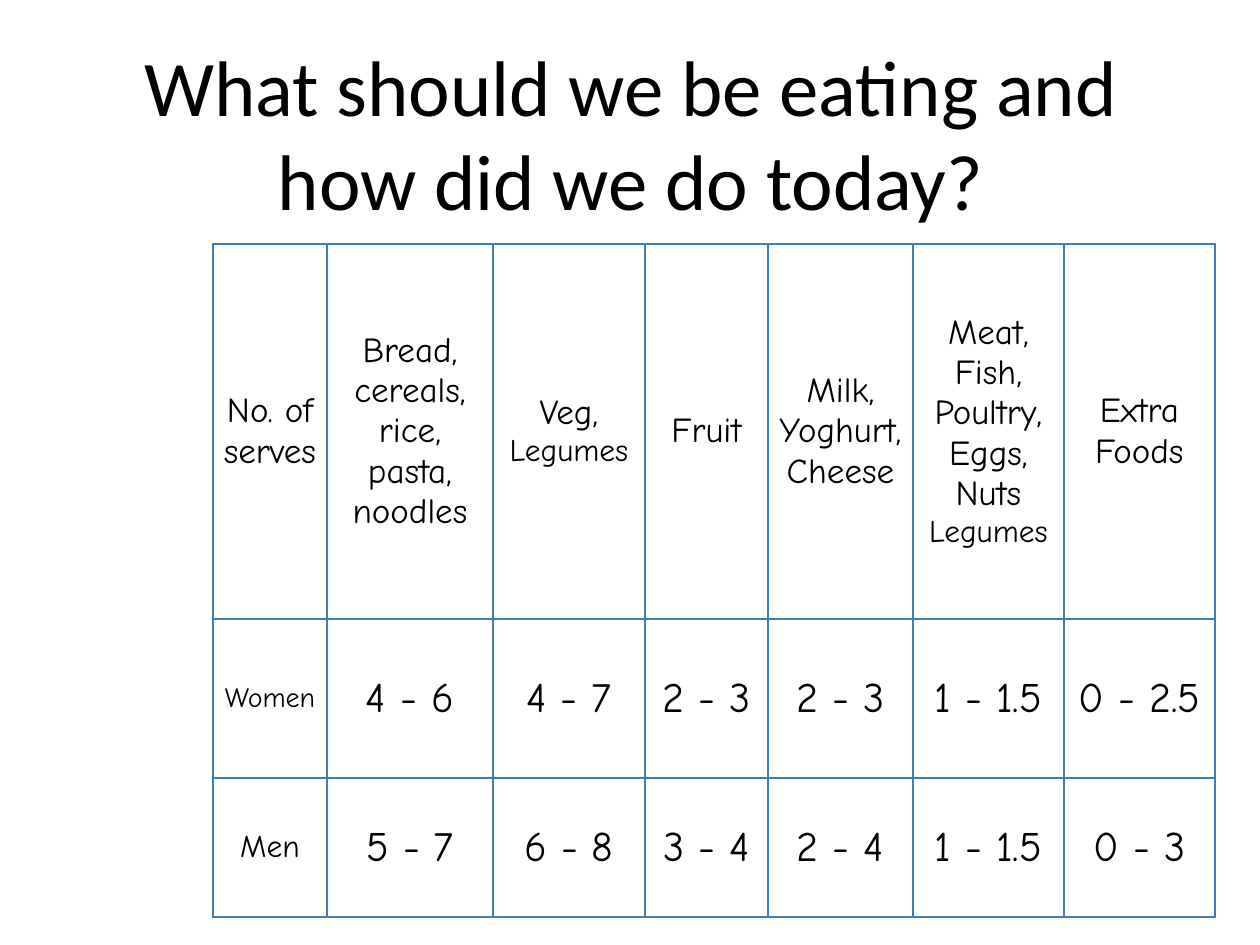
from dataclasses import dataclass

from lxml.etree import SubElement
from pptx import Presentation
from pptx.dml.color import RGBColor
from pptx.enum.text import MSO_ANCHOR, MSO_AUTO_SIZE, PP_ALIGN
from pptx.oxml.ns import qn
from pptx.util import Emu, Pt

PX_PER_INCH = 126


@dataclass(frozen=True)
class Theme:
    ink: str = "000000"
    border: str = "417DB2"
    border_pt: float = 0.96
    title_font: str = "Calibri"
    table_font: str = "Comic Neue"
    title: int = 45
    serves: int = 24
    heading: int = 20
    small: int = 18
    tiny: int = 16


THEME = Theme()


@dataclass(frozen=True)
class Run:
    text: str
    size: int = THEME.heading


@dataclass(frozen=True)
class Cell:
    """Cell content: one tuple of runs per paragraph."""
    paragraphs: tuple[tuple[Run, ...], ...]


@dataclass(frozen=True)
class Box:
    left: int
    top: int
    width: int
    height: int


def px(n: int) -> Emu:
    return Emu(round(n * 914400 / PX_PER_INCH))


def cell(*runs: Run) -> Cell:
    return Cell((runs,))


def serves_row(label: Run, *ranges: str) -> list[Cell]:
    return [cell(label)] + [cell(Run(text, THEME.serves)) for text in ranges]


def add_run(p, run: Run, font: str) -> None:
    r = p.add_run()
    r.text = run.text
    r.font.name = font
    r.font.size = Pt(run.size)
    r.font.color.rgb = RGBColor.from_string(THEME.ink)


def set_borders(c) -> None:
    tc_pr = c._tc.get_or_add_tcPr()
    for i, side in enumerate(("lnL", "lnR", "lnT", "lnB")):
        ln = SubElement(tc_pr, qn(f"a:{side}"), w=str(Pt(THEME.border_pt)))
        fill = SubElement(ln, qn("a:solidFill"))
        SubElement(fill, qn("a:srgbClr"), val=THEME.border)
        tc_pr.remove(ln)
        tc_pr.insert(i, ln)  # borders come before the fill


def draw_cell(c, content: Cell) -> None:
    c.fill.background()
    set_borders(c)
    c.vertical_anchor = MSO_ANCHOR.MIDDLE
    c.margin_left = c.margin_right = px(5)
    c.margin_top = c.margin_bottom = px(6)
    tf = c.text_frame
    for i, runs in enumerate(content.paragraphs):
        p = tf.add_paragraph() if i else tf.paragraphs[0]
        p.alignment = PP_ALIGN.CENTER
        for run in runs:
            add_run(p, run, THEME.table_font)


def draw_table(s, box: Box, widths: list[int], heights: list[int],
               rows: list[list[Cell]]) -> None:
    frame = s.shapes.add_table(len(rows), len(widths), px(box.left), px(box.top),
                               px(box.width), px(box.height))
    table = frame.table
    table.first_row = table.horz_banding = False
    for column, width in zip(table.columns, widths):
        column.width = px(width)
    for row, height, contents in zip(table.rows, heights, rows):
        row.height = px(height)
        for c, content in zip(row.cells, contents):
            draw_cell(c, content)


def draw_title(s, box: Box, text: str) -> None:
    sp = s.shapes.title
    sp.left, sp.top = px(box.left), px(box.top)
    sp.width, sp.height = px(box.width), px(box.height)
    tf = sp.text_frame
    tf.word_wrap = True
    tf.auto_size = MSO_AUTO_SIZE.NONE
    tf.vertical_anchor = MSO_ANCHOR.MIDDLE
    p = tf.paragraphs[0]
    p.alignment = PP_ALIGN.CENTER
    add_run(p, Run(text, THEME.title), THEME.title_font)


def main() -> None:
    prs = Presentation()
    prs.slide_width, prs.slide_height = px(1260), px(945)
    s = prs.slides.add_slide(prs.slide_layouts[5])

    # Title
    draw_title(s, Box(95, 53, 1071, 158),
               "What should we be eating and how did we do today?")

    # Recommended serves by food group
    legumes = Run("Legumes", THEME.small)
    header = [
        cell(Run("No. of serves")),
        cell(Run("Bread, cereals, rice, pasta, noodles")),
        cell(Run("Veg, "), legumes),
        cell(Run("Fruit")),
        cell(Run("Milk, Yoghurt, Cheese")),
        Cell(((Run("Meat, Fish, Poultry, Eggs, Nuts"),), (legumes,))),
        cell(Run("Extra Foods")),
    ]
    women = serves_row(Run("Women", THEME.tiny),
                       "4 - 6", "4 - 7", "2 - 3", "2 - 3", "1 - 1.5", "0 - 2.5")
    men = serves_row(Run("Men", THEME.small),
                     "5 - 7", "6 - 8", "3 - 4", "2 - 4", "1 - 1.5", "0 - 3")
    widths = [114, 166, 152, 123, 145, 151, 151]
    heights = [375, 159, 139]
    draw_table(s, Box(213, 244, sum(widths), sum(heights)), widths, heights,
               [header, women, men])

    prs.save("out.pptx")


if __name__ == "__main__":
    main()
